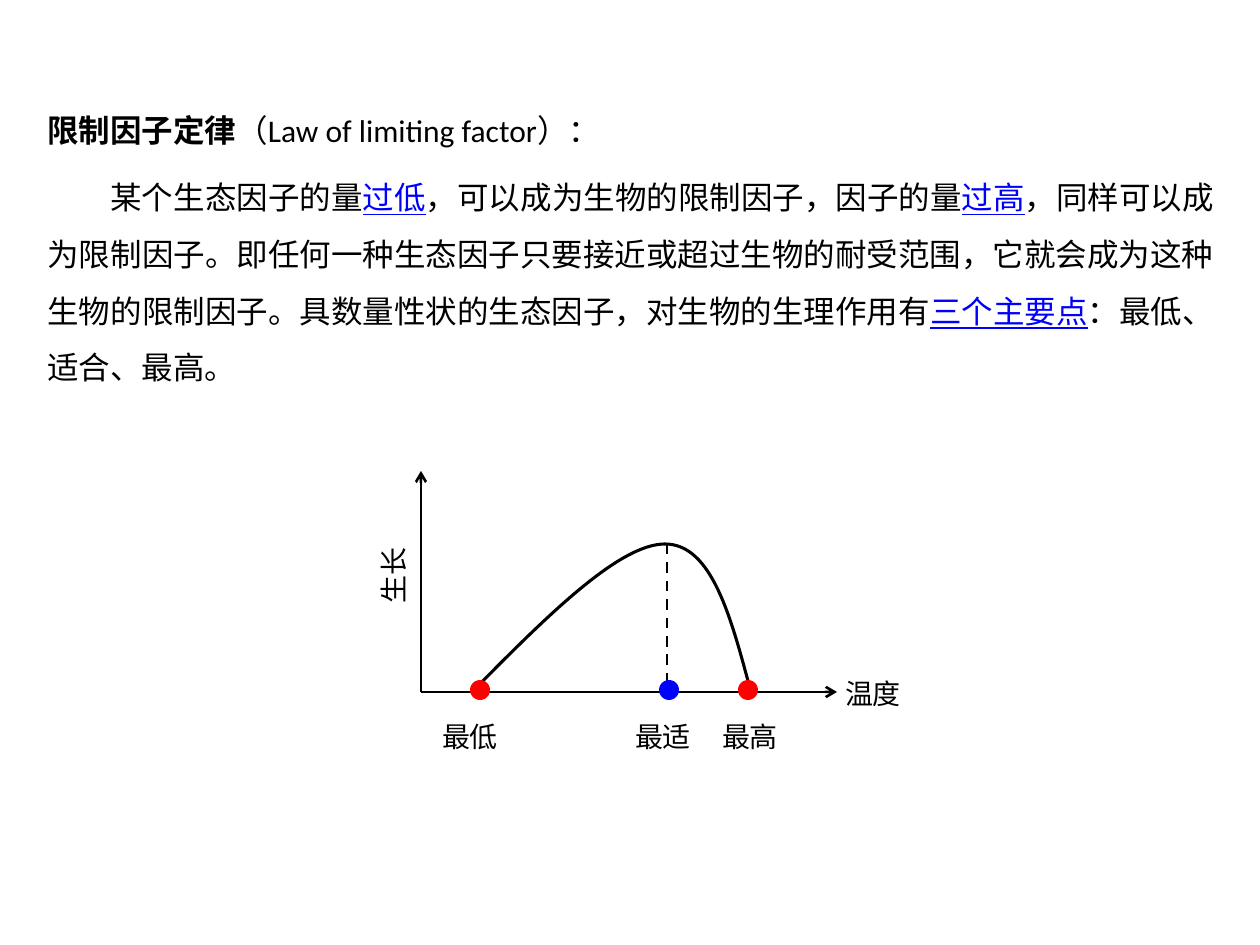
import pptx
import pptx.dml.color
import pptx.enum.dml
import pptx.enum.shapes
import pptx.enum.text
import pptx.oxml
import pptx.oxml.ns
import pptx.util

PX = 914400 / 126
BLACK = pptx.dml.color.RGBColor(0x00, 0x00, 0x00)
BLUE = pptx.dml.color.RGBColor(0x00, 0x00, 0xFF)
RED = pptx.dml.color.RGBColor(0xFF, 0x00, 0x00)
ALIGN = pptx.enum.text.PP_ALIGN

PLAIN, BOLD, KEY = {}, {"bold": True}, {"color": BLUE, "underline": True}
HEADING = [("限制因子定律", BOLD), ("（Law of limiting factor）：", PLAIN)]
EXPLANATION = [
    ("某个生态因子的量", PLAIN),
    ("过低", KEY),
    ("，可以成为生物的限制因子，因子的量", PLAIN),
    ("过高", KEY),
    ("，同样可以成为限制因子。即任何一种生态因子只要接近或超过生物的耐受范围，"
     "它就会成为这种生物的限制因子。具数量性状的生态因子，对生物的生理作用有", PLAIN),
    ("三个主要点", KEY),
    ("：最低、适合、最高。", PLAIN),
]

# Diagram, in px
ORIGIN = (421, 692)
AXIS_ENDS = [(837, 692), (421, 471)]
CURVE_START = (472, 692)
CURVE_POINTS = [(546, 617), (619, 544), (665, 544),
                (712, 544), (731, 617), (751, 692)]
OPTIMUM = [(667, 544), (667, 692)]
DOT_SIZE, DOT_CENTRE_Y = 20, 690
LABEL_HEIGHT = 47
# label, label centre x, dot centre x, dot colour
CARDINAL_POINTS = [("最低", 470, 480, RED), ("最适", 663, 669, BLUE), ("最高", 750, 748, RED)]
CARDINAL_TOP, CARDINAL_WIDTH = 713, 100
# label, left, top, rotation
AXIS_LABELS = [("生长", 339, 552, 270), ("温度", 818, 670, 0)]
AXIS_LABEL_WIDTH = 110


def emu(*lengths):
    return [pptx.util.Emu(round(length * PX)) for length in lengths]


def add_text(slide, box, paragraphs, size=16, align=ALIGN.CENTER,
             line_spacing=None, gap=0, indents=None, rotation=0):
    """Add a text box; each paragraph is a list of (text, run format) pairs."""
    text_box = slide.shapes.add_textbox(*emu(*box))
    text_box.rotation = rotation
    frame = text_box.text_frame
    frame.word_wrap = True
    for index, runs in enumerate(paragraphs):
        paragraph = frame.add_paragraph() if index else frame.paragraphs[0]
        paragraph.alignment = align
        paragraph.line_spacing = line_spacing
        if index:
            paragraph.space_before = pptx.util.Pt(gap)
        if indents and indents[index]:
            properties = paragraph._p.get_or_add_pPr()
            properties.set("marL", "0")
            properties.set("indent", str(emu(indents[index])[0]))
        for text, style in runs:
            run = paragraph.add_run()
            run.text = text
            run.font.name = "Calibri"
            run.font.size = pptx.util.Pt(size)
            run.font.bold = style.get("bold", False)
            run.font.underline = style.get("underline", False)
            run.font.color.rgb = style.get("color", BLACK)


def add_line(slide, start, end, arrow=False, dashed=False):
    line = slide.shapes.add_connector(
        pptx.enum.shapes.MSO_CONNECTOR.STRAIGHT, *emu(*start, *end))
    line.line.color.rgb = BLACK
    line.line.width = pptx.util.Pt(1.5)
    if dashed:
        line.line.dash_style = pptx.enum.dml.MSO_LINE.DASH
    if arrow:
        outline = line.line._get_or_add_ln()
        outline.append(pptx.oxml.parse_xml(
            f'<a:tailEnd {pptx.oxml.ns.nsdecls("a")} type="arrow"/>'))
    line._element.spPr.append(
        pptx.oxml.parse_xml(f'<a:effectLst {pptx.oxml.ns.nsdecls("a")}/>'))


def add_curve(slide, start, points):
    """Add a Bezier outline; every three points are two controls and an end."""
    builder = slide.shapes.build_freeform(*start, scale=PX)
    builder.add_line_segments(points, close=False)
    curve = builder.convert_to_shape()
    segments = curve._element.findall(".//" + pptx.oxml.ns.qn("a:lnTo"))
    outline = segments[0].getparent()
    for first in range(0, len(segments), 3):
        bezier = pptx.oxml.parse_xml(f'<a:cubicBezTo {pptx.oxml.ns.nsdecls("a")}/>')
        for segment in segments[first:first + 3]:
            bezier.append(segment[0])
            outline.remove(segment)
        outline.append(bezier)
    curve.shadow.inherit = False
    curve.fill.background()
    curve.line.color.rgb = BLACK
    curve.line.width = pptx.util.Pt(1.75)


def add_dot(slide, centre_x, color):
    dot = slide.shapes.add_shape(
        pptx.enum.shapes.MSO_SHAPE.OVAL,
        *emu(centre_x - DOT_SIZE / 2, DOT_CENTRE_Y - DOT_SIZE / 2, DOT_SIZE, DOT_SIZE))
    dot.shadow.inherit = False
    dot.fill.solid()
    dot.fill.fore_color.rgb = color
    dot.line.fill.background()


def main():
    deck = pptx.Presentation()
    deck.slide_width, deck.slide_height = emu(1260, 945)
    slide = deck.slides.add_slide(deck.slide_layouts[6])

    add_text(slide, (35, 86, 1191, 310), [HEADING, EXPLANATION], size=18,
             align=ALIGN.JUSTIFY, line_spacing=1.5, gap=6, indents=[0, 63])
    for end in AXIS_ENDS:
        add_line(slide, ORIGIN, end, arrow=True)
    add_curve(slide, CURVE_START, CURVE_POINTS)
    add_line(slide, *OPTIMUM, dashed=True)
    for label, left, top, rotation in AXIS_LABELS:
        add_text(slide, (left, top, AXIS_LABEL_WIDTH, LABEL_HEIGHT),
                 [[(label, PLAIN)]], rotation=rotation)
    for label, label_x, dot_x, color in CARDINAL_POINTS:
        add_text(slide, (label_x - CARDINAL_WIDTH / 2, CARDINAL_TOP,
                         CARDINAL_WIDTH, LABEL_HEIGHT), [[(label, PLAIN)]])
        add_dot(slide, dot_x, color)

    deck.save("out.pptx")


if __name__ == "__main__":
    main()
